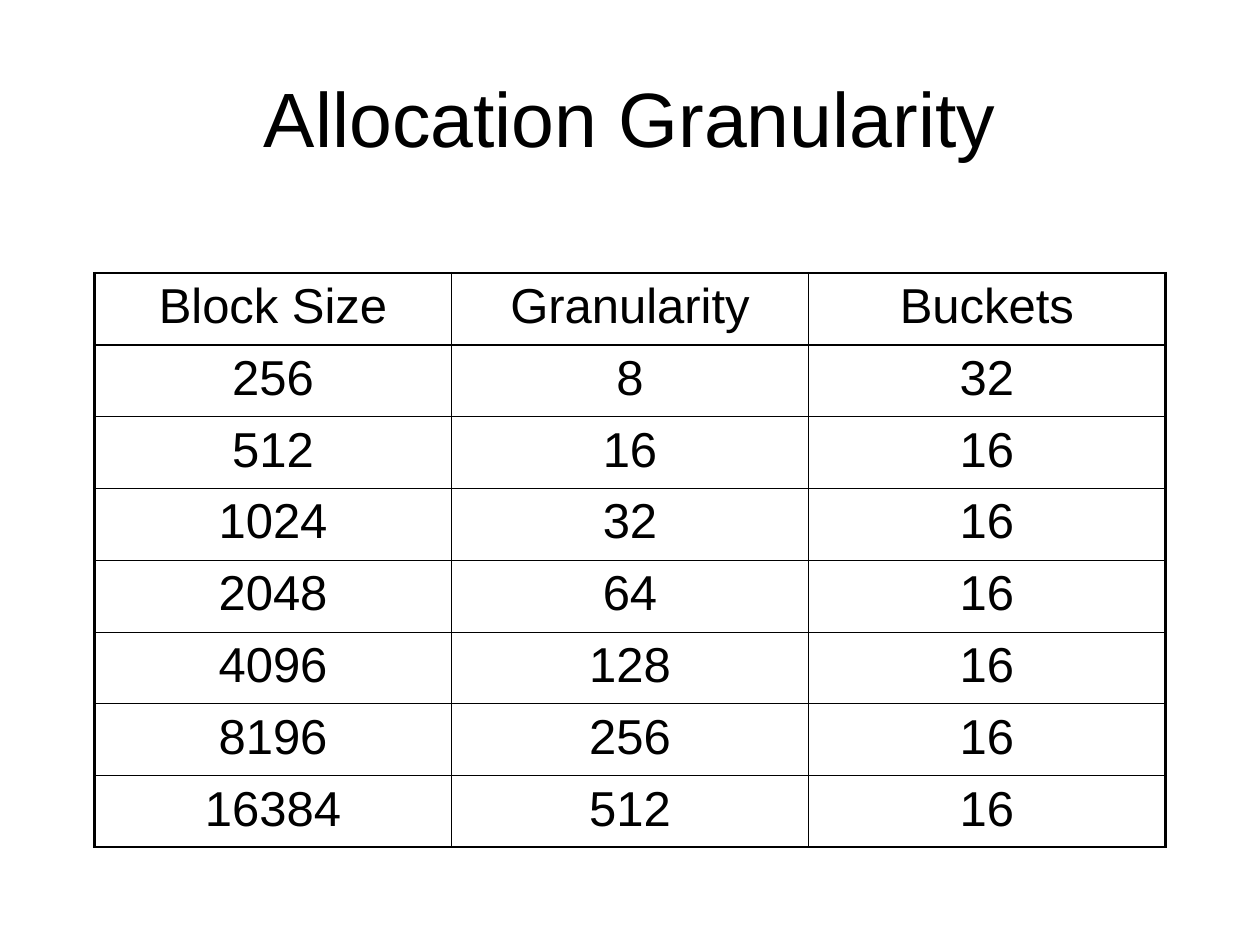
"""Build the Allocation Granularity slide."""
from lxml import etree
from pptx import Presentation
from pptx.dml.color import RGBColor
from pptx.enum import text
from pptx.oxml.ns import qn
from pptx.util import Pt


def rgb(value):
    """Return the colour for a hex string."""
    return RGBColor.from_string(value)


class Deck:
    """Hold the style and the current slide."""

    font, ink = "Arial", "000000"
    thin, thick = 0.45, 1.47

    def __init__(self, width, height):
        """Start a presentation with one title-only slide."""
        self.prs = Presentation()
        self.prs.slide_width, self.prs.slide_height = Pt(width), Pt(height)
        self.slide = self.prs.slides.add_slide(self.prs.slide_layouts[5])

    def label(self, tf, words, size, before=0):
        """Put one centred paragraph into a text frame."""
        tf.text = words
        p = tf.paragraphs[0]
        p.alignment = text.PP_ALIGN.CENTER
        p.space_before = Pt(before)
        p.font.size, p.font.name = Pt(size), self.font
        p.font.color.rgb = rgb(self.ink)

    def title(self, words, left, top, width, height, size):
        """Place and format the title."""
        sp = self.slide.shapes.title
        sp.left, sp.top, sp.width, sp.height = map(Pt, (left, top, width, height))
        tf = sp.text_frame
        tf.vertical_anchor = text.MSO_ANCHOR.MIDDLE
        self.label(tf, words, size)

    def border(self, cell, side, width):
        """Draw one side of a cell."""
        pr = cell._tc.get_or_add_tcPr()
        ln = etree.SubElement(pr, qn("a:ln" + side), w=str(Pt(width)))
        fill = etree.SubElement(ln, qn("a:solidFill"))
        etree.SubElement(fill, qn("a:srgbClr"), val=self.ink)

    def table(self, rows, left, top, width, row_height, size, before):
        """Add a grid with a thick frame and a thick rule below its header."""
        last_row, last_col = len(rows) - 1, len(rows[0]) - 1
        frame = self.slide.shapes.add_table(
            len(rows), len(rows[0]), Pt(left), Pt(top), Pt(width),
            Pt(row_height * len(rows)))
        tbl = frame.table
        tbl.first_row = tbl.horz_banding = False
        for r, row in enumerate(rows):
            for c, value in enumerate(row):
                cell = tbl.cell(r, c)
                self.label(cell.text_frame, str(value), size, before)
                heavy = {"L": c == 0, "R": c == last_col,
                         "T": r in (0, 1), "B": r in (0, last_row)}
                for side, is_heavy in heavy.items():
                    self.border(cell, side, self.thick if is_heavy else self.thin)
                cell.fill.background()


ROWS = [
    ("Block Size", "Granularity", "Buckets"),
    (256, 8, 32),
    (512, 16, 16),
    (1024, 32, 16),
    (2048, 64, 16),
    (4096, 128, 16),
    (8196, 256, 16),
    (16384, 512, 16),
]

deck = Deck(720, 540)
deck.title("Allocation Granularity", 36, 42.5, 648, 48, size=44)
deck.table(ROWS, 54, 156, 612, 41.04, size=28, before=7)
deck.prs.save("out.pptx")
